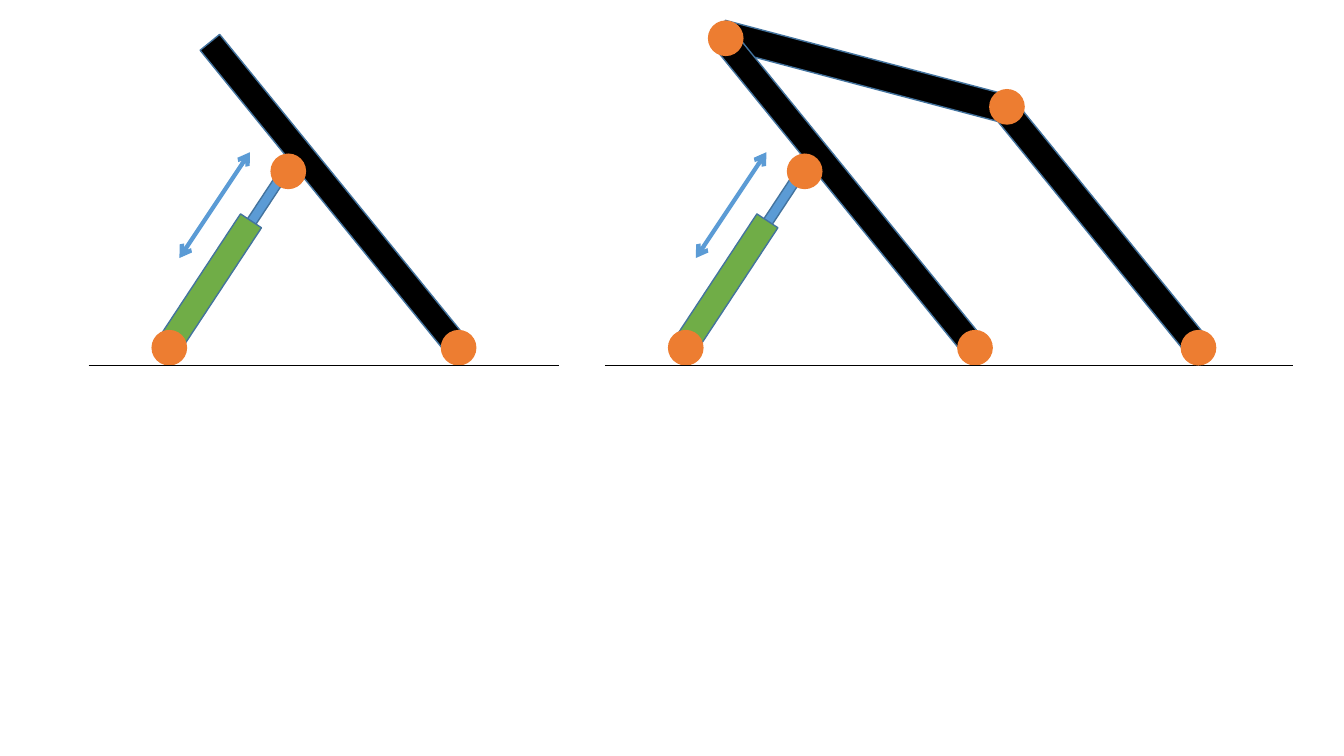
"""Draw a piston-driven lever and the linkage that extends it with a coupler and follower."""
from dataclasses import dataclass

import pptx
import pptx.dml.color
import pptx.enum.shapes
import pptx.oxml
import pptx.oxml.ns
import pptx.util

CELL = pptx.util.Inches(1) / 3
COLUMNS, ROWS = 40, 22.5
JOINT_SIZE = 1.02
FLOOR_ROW = 10.86
JOINT_ROW = 10.35
LINKAGE_SHIFT = 15.37
LEVER_ANGLE = 50.9
PISTON_ANGLE = 303.4
PISTON_LENGTH = 4.29


@dataclass(frozen=True)
class Theme:
    """Colours and line widths of the diagram."""
    beam: str = "000000"
    rod: str = "5B9BD5"
    cylinder: str = "70AD47"
    joint: str = "ED7D31"
    edge: str = "43739E"
    edge_width: float = 1
    floor_width: float = 0.5
    stroke_width: float = 3


THEME = Theme()


def cells(count):
    """Convert grid cells to slide units."""
    return round(count * CELL)


def rgb(code):
    """Return the colour for a hexadecimal code."""
    return pptx.dml.color.RGBColor.from_string(code)


def add_part(slide, preset, centre, size, fill, edge, angle=0):
    """Place a filled shape by its centre on the grid."""
    (column, row), (length, thickness) = centre, size
    part = slide.shapes.add_shape(
        preset, cells(column - length / 2), cells(row - thickness / 2),
        cells(length), cells(thickness))
    part.rotation = angle
    part.shadow.inherit = False
    part.fill.solid()
    part.fill.fore_color.rgb = rgb(fill)
    part.line.color.rgb = rgb(edge)
    part.line.width = pptx.util.Pt(THEME.edge_width)


def add_bar(slide, centre, size, angle, fill=THEME.beam):
    """Add a rotated rigid bar."""
    add_part(slide, pptx.enum.shapes.MSO_SHAPE.RECTANGLE, centre, size,
             fill, THEME.edge, angle)


def add_joint(slide, column, row):
    """Add a round pivot."""
    add_part(slide, pptx.enum.shapes.MSO_SHAPE.OVAL, (column, row),
             (JOINT_SIZE, JOINT_SIZE), THEME.joint, THEME.joint)


def add_line(slide, start, end, color, width, arrows=False):
    """Add a straight line, with open arrowheads at both ends if wanted."""
    line = slide.shapes.add_connector(
        pptx.enum.shapes.MSO_CONNECTOR.STRAIGHT,
        *(cells(position) for position in (*start, *end)))
    line.line.color.rgb = rgb(color)
    line.line.width = pptx.util.Pt(width)
    properties = line._element.spPr
    if arrows:
        outline = properties.find(pptx.oxml.ns.qn("a:ln"))
        for tag in ("headEnd", "tailEnd"):
            outline.append(pptx.oxml.parse_xml(
                f'<a:{tag} {pptx.oxml.ns.nsdecls("a")} type="arrow"/>'))
    properties.append(pptx.oxml.parse_xml(
        f'<a:effectLst {pptx.oxml.ns.nsdecls("a")}/>'))


def add_floor(slide, left, right):
    """Add the ground line."""
    add_line(slide, (left, FLOOR_ROW), (right, FLOOR_ROW),
             THEME.beam, THEME.floor_width)


def add_lever(slide, shift, floor):
    """Add a lever with its piston, pivots, ground and stroke arrow."""
    add_bar(slide, (7.25 + shift, 6.96), (PISTON_LENGTH, 0.3), PISTON_ANGLE, THEME.rod)
    add_bar(slide, (10.04 + shift, 5.93), (12.03, 0.75), LEVER_ANGLE)
    add_joint(slide, 8.58 + shift, 5.1)
    add_bar(slide, (6.29 + shift, 8.36), (PISTON_LENGTH, 0.75), PISTON_ANGLE,
            THEME.cylinder)
    for column in (5.04, 13.65):
        add_joint(slide, column + shift, JOINT_ROW)
    add_floor(slide, *floor)
    add_line(slide, (5.34 + shift, 7.68), (7.44 + shift, 4.53),
             THEME.rod, THEME.stroke_width, arrows=True)


def add_follower(slide):
    """Add the follower bar and the pivots that join it to the lever."""
    add_bar(slide, (32.94, 6.99), (9.3, 0.78), LEVER_ANGLE)
    for column, row in ((35.67, JOINT_ROW), (29.97, 3.18), (21.6, 1.14)):
        add_joint(slide, column, row)


def main():
    """Build and save the slide."""
    deck = pptx.Presentation()
    deck.slide_width, deck.slide_height = cells(COLUMNS), cells(ROWS)
    slide = deck.slides.add_slide(deck.slide_layouts.get_by_name("Blank"))
    add_bar(slide, (25.83, 2.16), (9, 0.84), 14.8)
    add_lever(slide, 0, (2.64, 16.65))
    add_lever(slide, LINKAGE_SHIFT, (18, 38.49))
    add_follower(slide)
    deck.save("out.pptx")


main()
